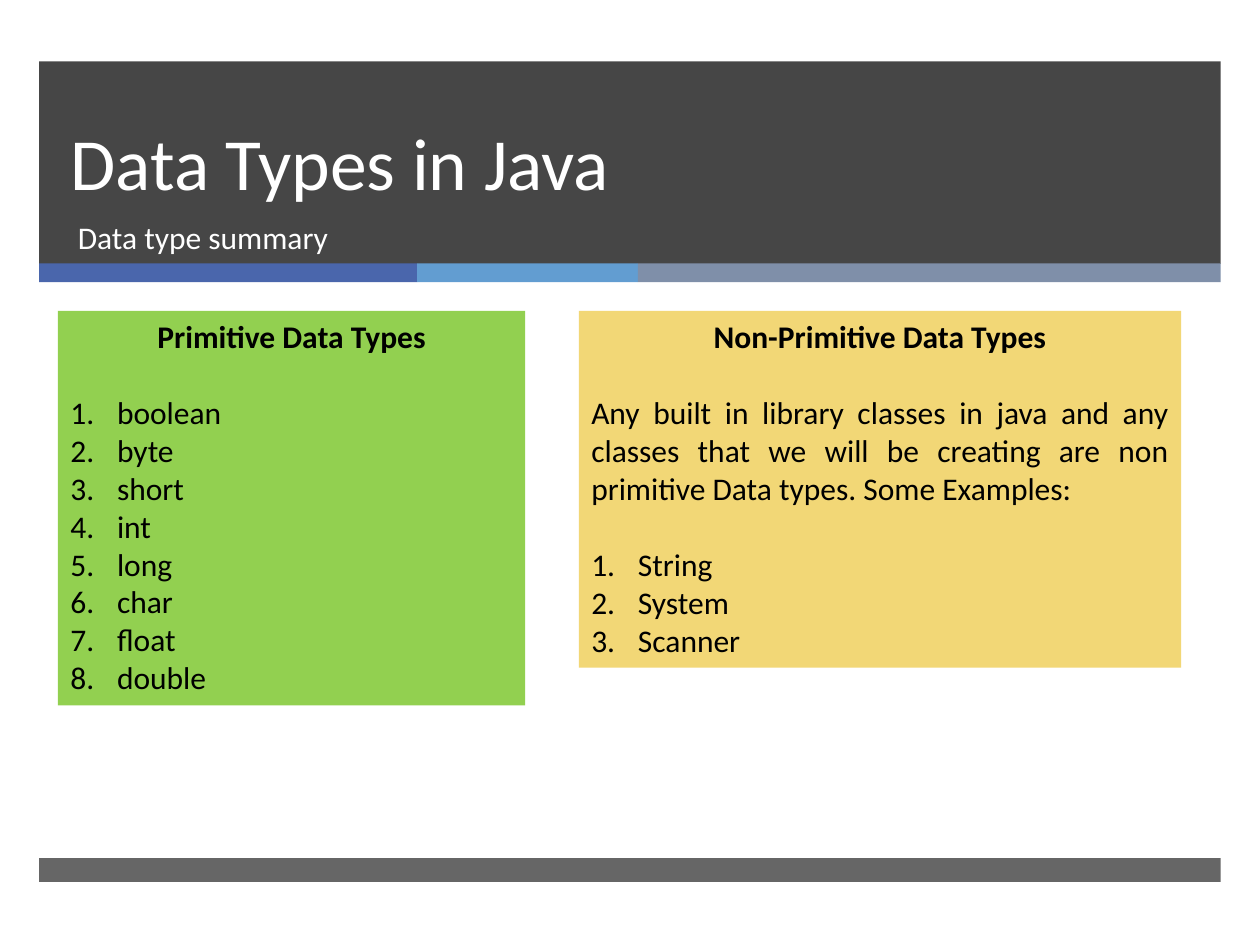
from lxml.etree import SubElement as Sub
from pptx import Presentation
from pptx.dml.color import RGBColor
from pptx.enum.shapes import MSO_SHAPE as Form
from pptx.enum.text import MSO_ANCHOR as Anchor, MSO_AUTO_SIZE as Fit, PP_ALIGN as Align
from pptx.oxml.ns import qn
from pptx.util import Cm, Pt


def paint(fmt, hue):
    """Set the colour of a font or a solid fill."""
    color = getattr(fmt, "fore_color", None) or fmt.color
    color.rgb = RGBColor.from_string(hue)


class Deck:
    font = "Calibri"
    size = 18
    gap = 22      # one blank line of body text, in points
    indent = 0.94

    def __init__(self, slide):
        self.slide = slide

    def bar(self, left, top, width, height, hue, alpha=100):
        shape = self.slide.shapes.add_shape(
            Form.RECTANGLE, Cm(left), Cm(top), Cm(width), Cm(height))
        shape.shadow.inherit = False
        shape.line.fill.background()
        shape.fill.solid()
        paint(shape.fill, hue)
        if alpha < 100:
            tone = shape.element.find(".//" + qn("a:srgbClr"))
            Sub(tone, qn("a:alpha"), val=str(alpha * 1000))
        return shape

    def frame(self, shape, anchor=Anchor.TOP):
        frame = shape.text_frame
        for key, value in {"word_wrap": True, "auto_size": Fit.NONE,
                           "vertical_anchor": anchor}.items():
            setattr(frame, key, value)
        return frame

    def text(self, para, words, hue="000000", size=None, bold=False, **form):
        for key, value in form.items():
            setattr(para, key, value)
        run = para.add_run()
        run.text = words
        look = {"name": self.font, "size": Pt(size or self.size), "bold": bold}
        for key, value in look.items():
            setattr(run.font, key, value)
        paint(run.font, hue)

    def title(self, words, left, top, width, height):
        shape = self.slide.shapes.title
        place = {"left": left, "top": top, "width": width, "height": height}
        for key, value in place.items():
            setattr(shape, key, Cm(value))
        # Bring the title in front of the band
        shape.element.getparent().append(shape.element)
        para = self.frame(shape, Anchor.BOTTOM).paragraphs[0]
        self.text(para, words, "FFFFFF", 42, alignment=Align.LEFT,
                  line_spacing=Pt(46))

    def label(self, words, left, top, width, height):
        box = self.slide.shapes.add_textbox(
            Cm(left), Cm(top), Cm(width), Cm(height))
        self.text(self.frame(box).paragraphs[0], words, "FFFFFF")

    def panel(self, area, hue, head, items, intro=None, align=Align.LEFT):
        frame = self.frame(self.bar(*area, hue))
        self.text(frame.paragraphs[0], head, bold=True, alignment=Align.CENTER)
        if intro:
            self.text(frame.add_paragraph(), intro, alignment=align,
                      space_before=Pt(self.gap))
        for i, item in enumerate(items):
            para = frame.add_paragraph()
            self.text(para, item, alignment=align,
                      space_before=Pt(0 if i else self.gap))
            self.number(para)

    def number(self, para):
        props = para._p.get_or_add_pPr()
        props.set("marL", str(Cm(self.indent)))
        props.set("indent", str(-Cm(self.indent)))
        Sub(props, qn("a:buFont"), typeface="+mj-lt")
        Sub(props, qn("a:buAutoNum"), type="arabicPeriod")


def main():
    prs = Presentation()
    prs.slide_width, prs.slide_height = Cm(25.4), Cm(19.05)
    deck = Deck(prs.slides.add_slide(prs.slide_layouts[5]))

    # Header band, tricolour strip and footer bar
    edge, full = 0.79, 23.82
    deck.bar(edge, 1.24, full, 4.08, "262626", 85)
    left = edge
    for width, hue in ((7.62, "4A66AC"), (4.45, "629DD1"), (11.75, "7F8FA9")):
        deck.bar(left, 5.31, width, 0.38, hue)
        left += width
    deck.bar(edge, 17.3, full, 0.48, "262626", 70)

    # Headings
    deck.title("Data Types in Java", 1.17, 1.24, 21.54, 3.02)
    deck.label("Data type summary", 1.32, 4.27, 21.54, 1.35)

    # Two panels
    deck.panel((1.17, 6.27, 9.42, 7.95), "92D050", "Primitive Data Types",
               ("boolean", "byte", "short", "int",
                "long", "char", "float", "double"))
    deck.panel((11.67, 6.27, 12.14, 7.19), "F2D776",
               "Non-Primitive Data Types", ("String", "System", "Scanner"),
               "Any built in library classes in java and any classes that we "
               "will be creating are non primitive Data types. Some Examples:",
               Align.JUSTIFY)

    prs.save("out.pptx")


if __name__ == "__main__":
    main()
